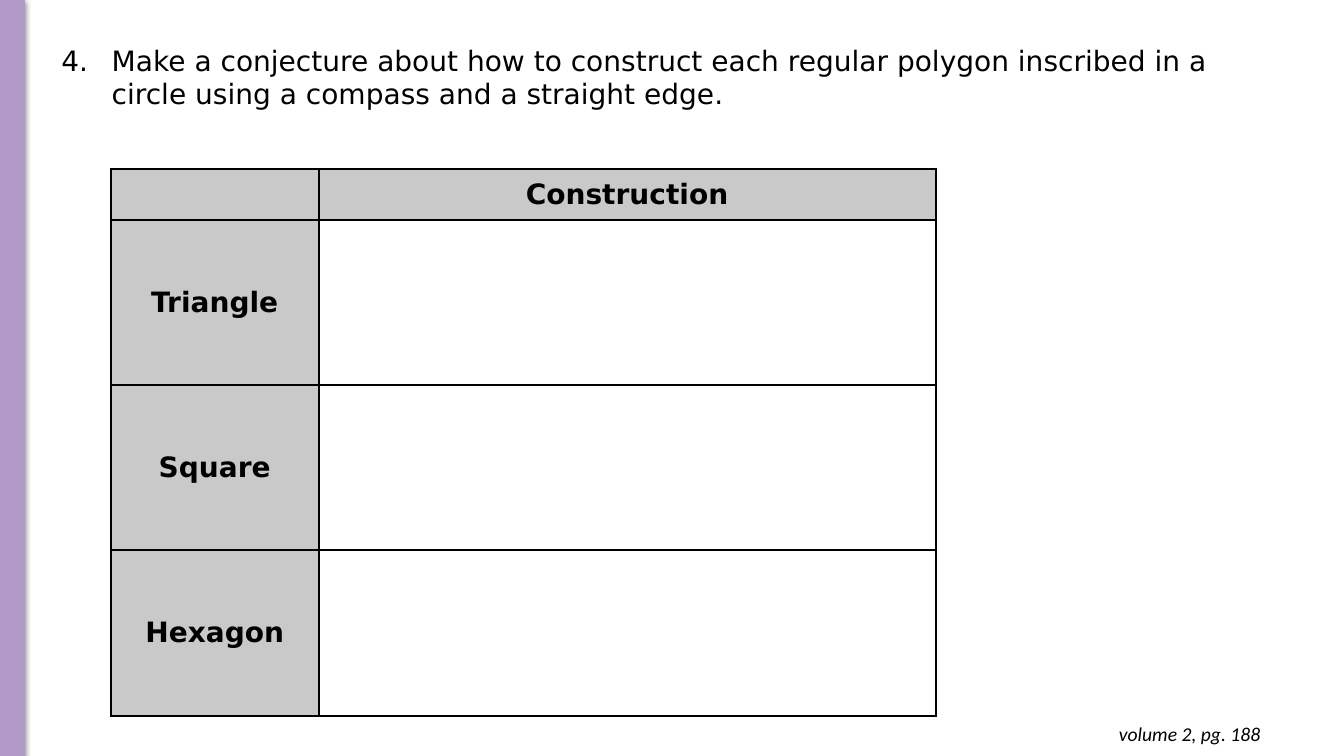
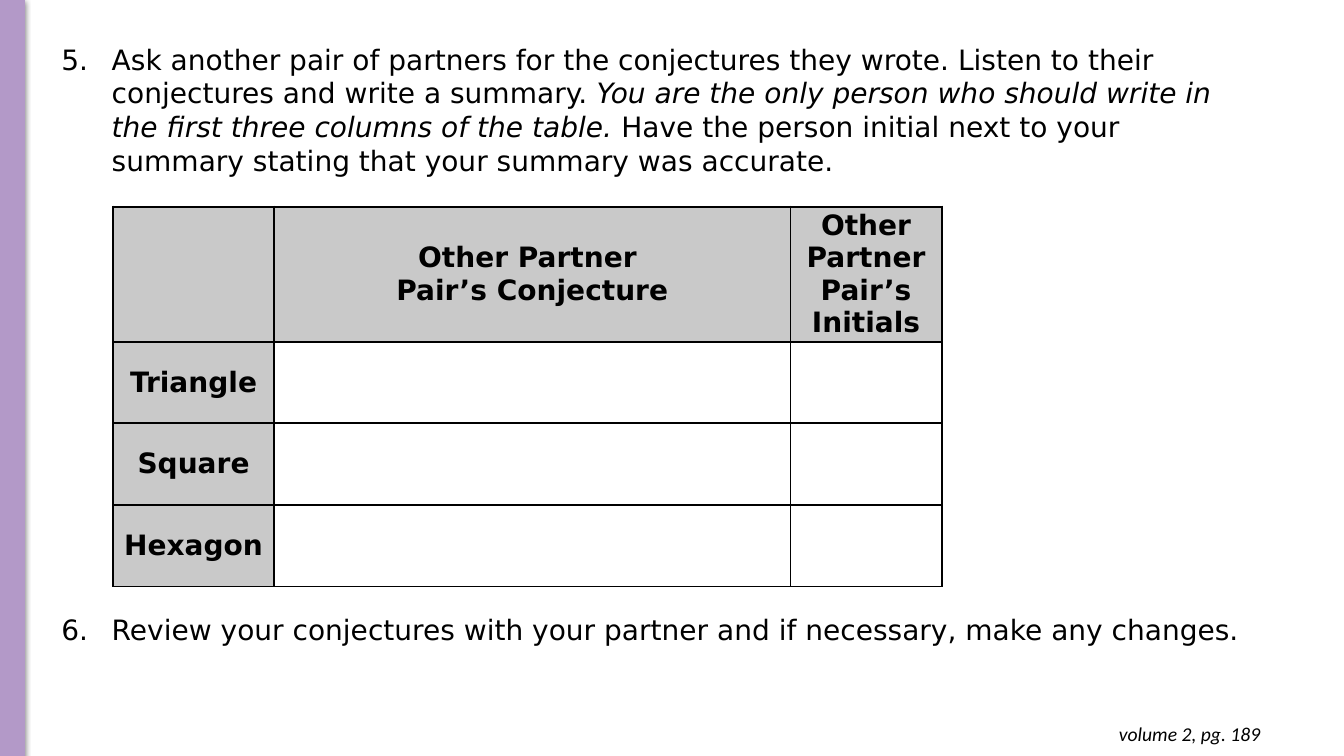
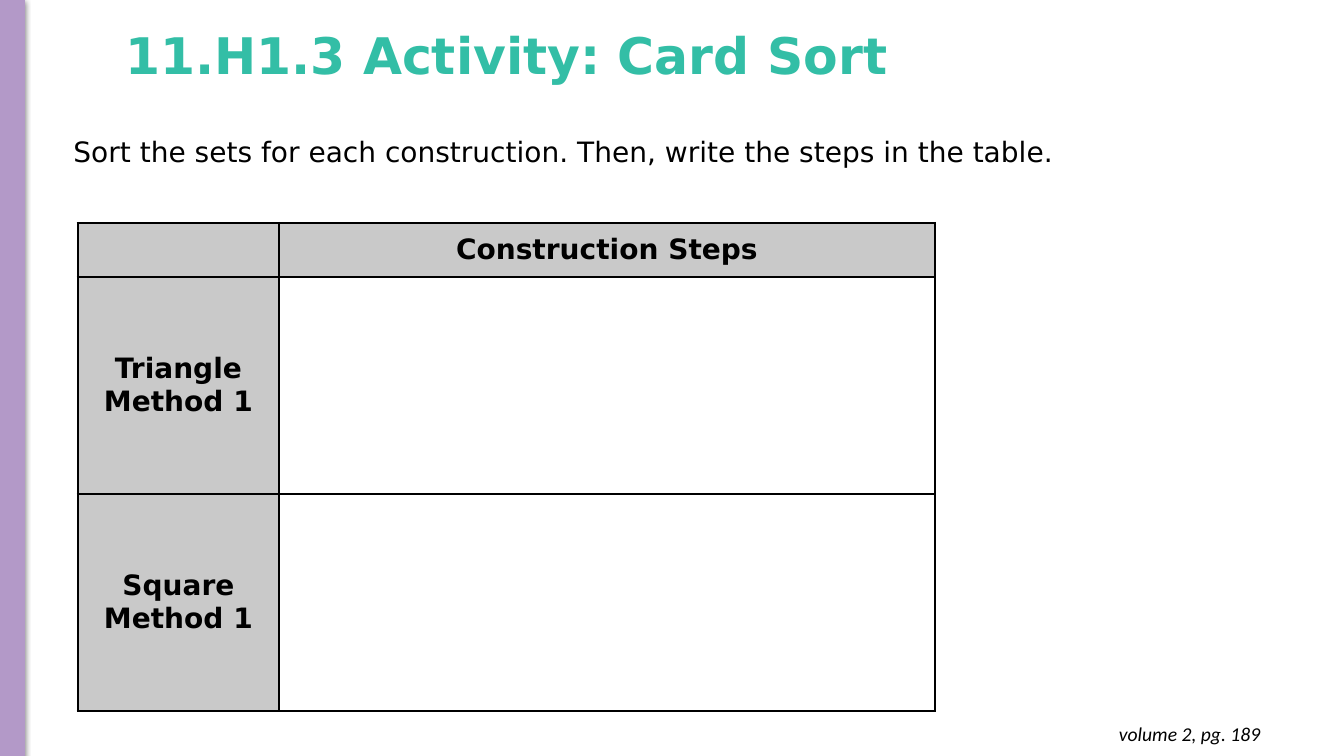
from pptx import Presentation
from pptx.dml.color import RGBColor
from pptx.enum.shapes import MSO_SHAPE
from pptx.enum.text import MSO_ANCHOR, PP_ALIGN
from pptx.oxml import parse_xml
from pptx.oxml.ns import nsdecls
from pptx.util import Pt

PX = 9144
BLANK, TITLE = 6, 5
BODY, SMALL = "DejaVu Sans", "Calibri"
BLACK, WHITE, GREY = "000000", "FFFFFF", "C9C9C9"
PURPLE, TEAL = "B399C8", "33BEA6"
SHAPES = ["Triangle", "Square", "Hexagon"]

SLIDES = [
    dict(
        texts=[
            dict(at=(51, 38, 1209, 77), num=4, text="Make a conjecture about how to construct each regular polygon inscribed in a circle using a compass and a straight edge."),
        ],
        table=dict(at=(110, 168), cols=[206, 612], rows=[50, 164], pad=(3, 0),
                   heads=["Construction"], names=SHAPES),
        page=188,
    ),
    dict(
        texts=[
            dict(at=(51, 37, 1209, 144), num=5, text=[
                ("Ask another pair of partners for the conjectures they wrote. Listen to their conjectures and write a summary. ", False),
                ("You are the only person who should write in the first three columns of the table.", True),
                (" Have the person initial next to your summary stating that your summary was accurate.", False),
            ]),
            dict(at=(51, 603, 1209, 44), num=6, text="Review your conjectures with your partner and if necessary, make any changes."),
        ],
        table=dict(at=(112, 205), cols=[160, 512, 150], rows=[134, 81], pad=(10, 0),
                   heads=["Other Partner \nPair’s Conjecture", "Other Partner Pair’s Initials"],
                   names=SHAPES),
        page=189,
    ),
    dict(
        title="11.H1.3 Activity: Card Sort",
        texts=[
            dict(at=(63, 129, 1143, 44), text="Sort the sets for each construction. Then, write the steps in the table."),
        ],
        table=dict(at=(77, 221), cols=[200, 650], rows=[54, 215], pad=(10, 10),
                   heads=["Construction Steps"],
                   names=["Triangle\nMethod 1", "Square\nMethod 1"]),
        page=189,
    ),
]


def px(*nums):
    """Turn px into EMU."""
    return [n * PX for n in nums]


def tint(code):
    """Turn a hex string into a colour."""
    return RGBColor.from_string(code)


def write(frame, text, size=20, font=BODY, color=BLACK, bold=False, slant=False,
          align=PP_ALIGN.LEFT, num=None, lead=None):
    """Put one formatted paragraph into a text frame."""
    para = frame.paragraphs[0]
    para.alignment = align
    if lead:
        para.line_spacing = lead
    if num:
        props = para._p.get_or_add_pPr()
        props.set("marL", str(50 * PX))
        props.set("indent", str(-50 * PX))
        props.append(parse_xml(
            f'<a:buAutoNum {nsdecls("a")} type="arabicPeriod" startAt="{num}"/>'))
    parts = [(text, slant)] if isinstance(text, str) else text
    for words, tilt in parts:
        for i, line in enumerate(words.split("\n")):
            if i:
                para.add_line_break()
            run = para.add_run()
            run.text = line
            face = run.font
            face.size, face.name = Pt(size), font
            face.bold, face.italic = bold, tilt
            face.color.rgb = tint(color)


def add_text(slide, at, text, pad=5, **style):
    """Add a wrapped text box."""
    frame = slide.shapes.add_textbox(*px(*at)).text_frame
    frame.word_wrap = True
    frame.margin_top = frame.margin_bottom = pad * PX
    write(frame, text, **style)


def add_band(slide):
    """Add the shaded band at the left edge."""
    band = slide.shapes.add_shape(MSO_SHAPE.RECTANGLE, *px(0, 0, 24, 750))
    band.shadow.inherit = False
    band.fill.solid()
    band.fill.fore_color.rgb = band.line.color.rgb = tint(PURPLE)
    band.line.width = Pt(0.75)
    band._element.spPr.effect_lst = None
    glow = parse_xml(
        f'<a:outerShdw {nsdecls("a")} blurRad="{Pt(4.5)}" dist="{Pt(1.5)}" dir="5400000" '
        f'rotWithShape="0"><a:srgbClr val="{BLACK}"><a:alpha val="50000"/></a:srgbClr></a:outerShdw>')
    band._element.spPr.find("{*}effectLst").append(glow)


def edge(cell):
    """Draw all four borders of a cell."""
    props = cell._tc.get_or_add_tcPr()
    for i, side in enumerate("LRTB"):
        props.insert(i, parse_xml(
            f'<a:ln{side} {nsdecls("a")} w="{Pt(1.5)}"><a:solidFill>'
            f'<a:srgbClr val="{BLACK}"/></a:solidFill></a:ln{side}>'))


def add_grid(slide, at, cols, rows, pad, heads, names):
    """Add a table with a grey head row and name column."""
    highs = rows[:1] + rows[1:] * len(names)
    grid = slide.shapes.add_table(
        len(highs), len(cols), *px(*at, sum(cols), sum(highs))).table
    grid.first_row = grid.horz_banding = False
    for col, wide in zip(grid.columns, cols):
        col.width = wide * PX
    for row, high in zip(grid.rows, highs):
        row.height = high * PX
    words = [["", *heads]] + [[name] + [""] * len(heads) for name in names]
    for r, line in enumerate(words):
        for c, text in enumerate(line):
            cell = grid.cell(r, c)
            cell.fill.solid()
            cell.fill.fore_color.rgb = tint(WHITE if r and c else GREY)
            edge(cell)
            cell.vertical_anchor = MSO_ANCHOR.MIDDLE
            cell.margin_left = cell.margin_right = pad[0] * PX
            cell.margin_top = cell.margin_bottom = pad[1] * PX
            if text:
                write(cell.text_frame, text, bold=True, align=PP_ALIGN.CENTER)


def add_title(slide, text):
    """Place and format the title."""
    head = slide.shapes.title
    head.left, head.top, head.width, head.height = px(114, 32, 877, 52)
    head.text_frame.vertical_anchor = MSO_ANCHOR.MIDDLE
    write(head.text_frame, text, size=36, color=TEAL, bold=True, lead=0.9)


def main():
    """Build the slides and save them."""
    deck = Presentation()
    deck.slide_width, deck.slide_height = px(1333, 750)
    for data in SLIDES:
        kind = TITLE if "title" in data else BLANK
        slide = deck.slides.add_slide(deck.slide_layouts[kind])
        add_band(slide)
        if kind == TITLE:
            add_title(slide, data["title"])
        for item in data["texts"]:
            add_text(slide, **item)
        add_grid(slide, **data["table"])
        add_text(slide, (972, 706, 288, 44), f"volume 2, pg. {data['page']}", pad=10,
                 size=14, font=SMALL, slant=True, align=PP_ALIGN.RIGHT)
    deck.save("out.pptx")


if __name__ == "__main__":
    main()
